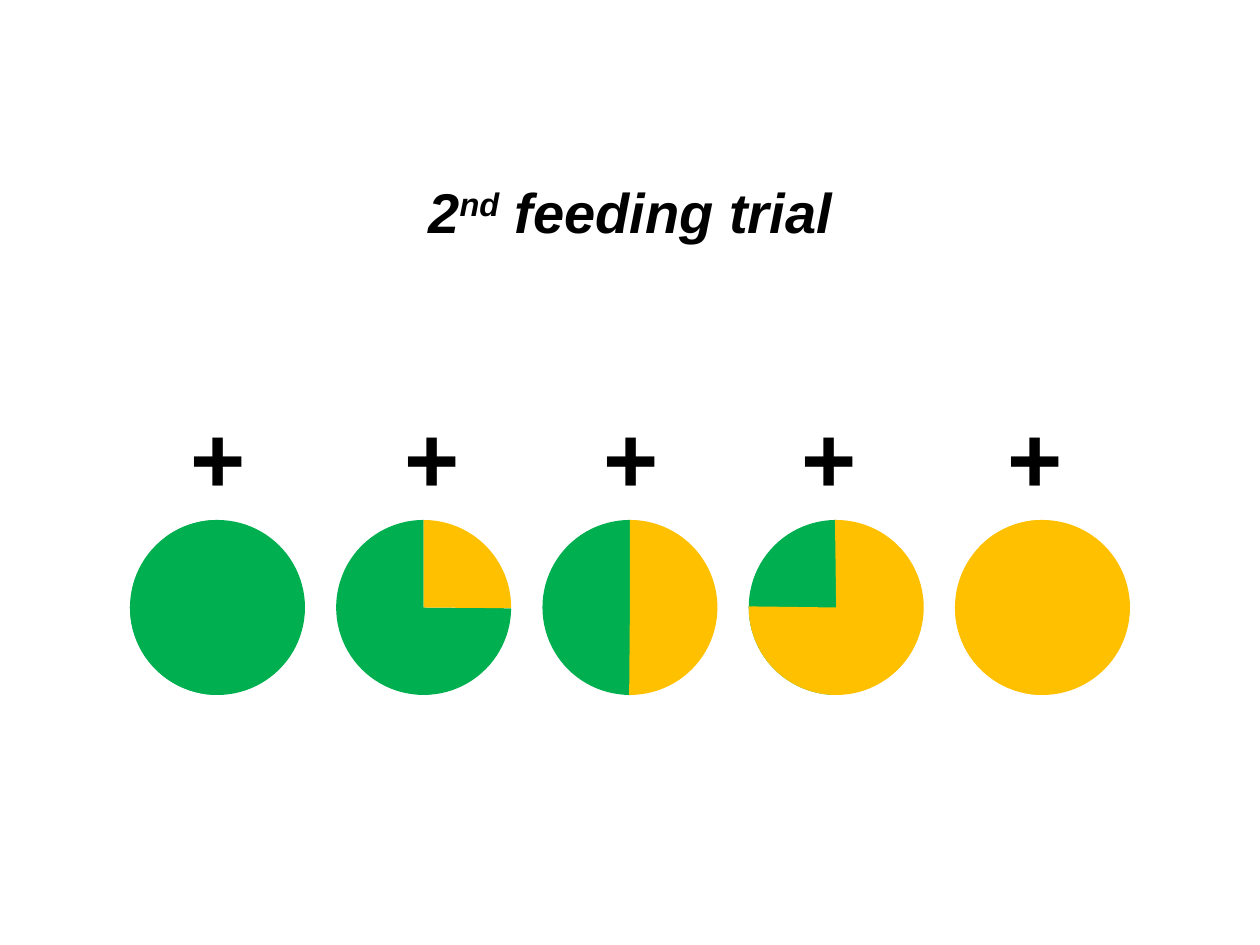
import pptx
import pptx.util
from pptx.dml.color import RGBColor
from pptx.enum.shapes import MSO_SHAPE
from pptx.enum.text import MSO_AUTO_SIZE, PP_ALIGN

THEME = {
    "font": "Arial",
    "text": RGBColor(0, 0, 0),
    "green": RGBColor(0x00, 0xB0, 0x50),
    "yellow": RGBColor(0xFF, 0xC0, 0x00),
    "title": 32,
    "plus": 54,
}

# Content: title runs as (text, superscript)
TITLE = [("2", False), ("nd", True), (" feeding trial", False)]
TITLE_BOX = (384, 171, 493, 81)

# Each diet: left px of its plus, then base and mirrored wedges
# as (colour, start degrees, end degrees)
DIETS = [
    (178, ("green", 89.5, 270), ("green", 359.3, 306.2)),
    (392, ("green", 0.57, 270), ("yellow", 179.5, 270)),
    (591, ("green", 89.5, 270), ("yellow", 89.5, 270)),
    (789, ("green", 89.5, 270), ("yellow", 359.3, 270.8)),
    (995, ("yellow", 89.5, 270), ("yellow", 359.3, 316.2)),
]

# Layout in px
SLIDE_W, SLIDE_H = 1260, 945
PIE_SIZE, PIE_TOP, PIE_MARGIN = 175, 520, 130
PLUS_TOP, PLUS_W, PLUS_H = 393, 87, 127


def px(n):
    return pptx.util.Emu(round(n * 914400 / 126))


def add_text(s, box, runs, size, italic=False, align=PP_ALIGN.LEFT):
    tf = s.shapes.add_textbox(*map(px, box)).text_frame
    tf.word_wrap = True
    tf.auto_size = MSO_AUTO_SIZE.SHAPE_TO_FIT_TEXT
    p = tf.paragraphs[0]
    p.alignment = align
    for text, superscript in runs:
        r = p.add_run()
        r.text = text
        r.font.name = THEME["font"]
        r.font.size = pptx.util.Pt(size)
        r.font.bold = True
        r.font.italic = italic
        r.font.color.rgb = THEME["text"]
        if superscript:
            r.font._element.set("baseline", "30000")


def add_wedge(s, left, colour, start, end, mirrored):
    sp = s.shapes.add_shape(
        MSO_SHAPE.PIE, px(left), px(PIE_TOP), px(PIE_SIZE), px(PIE_SIZE))
    # One degree is 60000 units; adjustments count in 100000 units
    sp.adjustments[0] = start * 0.6
    sp.adjustments[1] = end * 0.6
    if mirrored:
        sp._element.spPr.xfrm.set("flipH", "1")
    sp.fill.solid()
    sp.fill.fore_color.rgb = THEME[colour]
    sp.line.fill.background()
    sp.shadow.inherit = False


def main():
    prs = pptx.Presentation()
    prs.slide_width, prs.slide_height = px(SLIDE_W), px(SLIDE_H)
    s = prs.slides.add_slide(prs.slide_layouts[6])

    # Row of pies, evenly spread between the margins, a plus above each
    pitch = (SLIDE_W - 2 * PIE_MARGIN - PIE_SIZE) / (len(DIETS) - 1)
    for i, (plus_left, base, mirror) in enumerate(DIETS):
        left = PIE_MARGIN + i * pitch
        add_wedge(s, left, *base, mirrored=False)
        add_wedge(s, left, *mirror, mirrored=True)
        add_text(s, (plus_left, PLUS_TOP, PLUS_W, PLUS_H),
                 [("+", False)], THEME["plus"])

    # Title
    add_text(s, TITLE_BOX, TITLE, THEME["title"], italic=True,
             align=PP_ALIGN.CENTER)

    prs.save("out.pptx")


if __name__ == "__main__":
    main()
